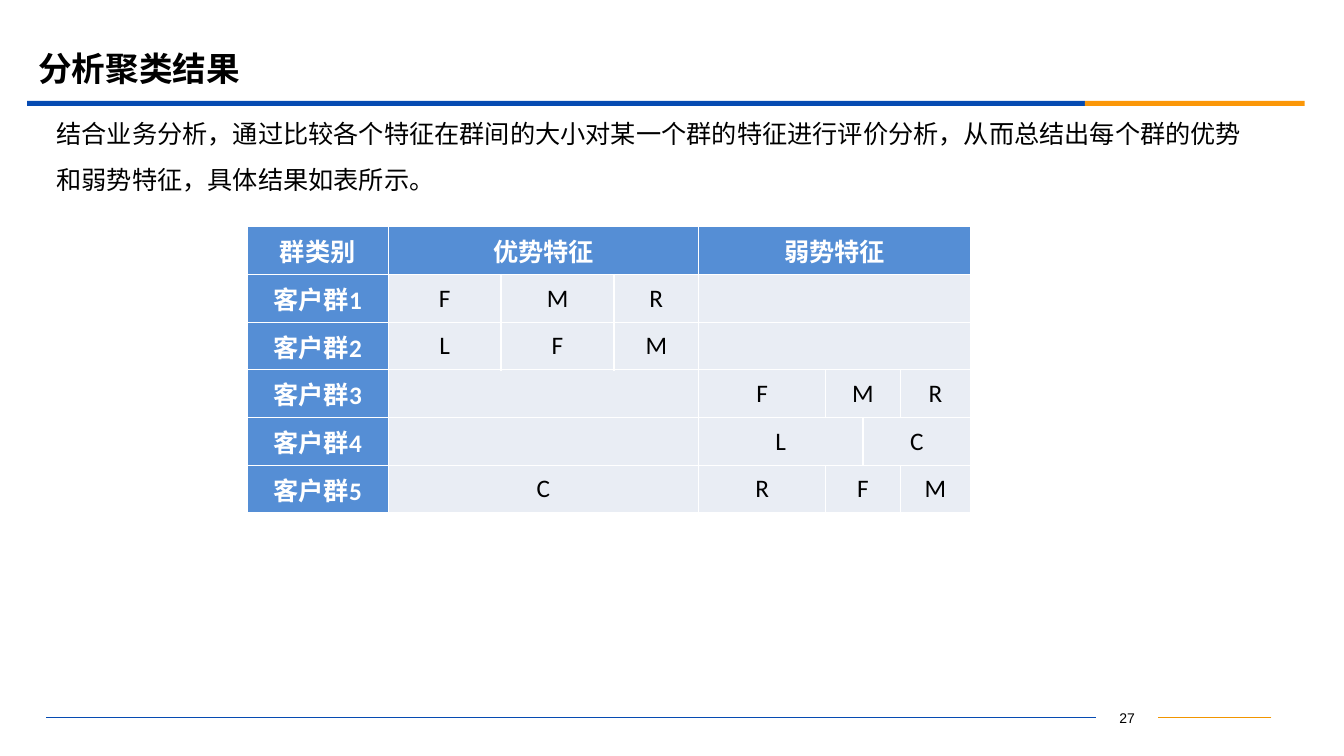
from lxml import etree
from pptx import Presentation
from pptx.dml.color import RGBColor
from pptx.enum import shapes, text
from pptx.oxml.ns import qn
from pptx.util import Inches, Pt

COLORS = {"blue": "064BB2", "orange": "FB9708", "amber": "F19500", "head": "558ED5",
          "cell": "E9EDF4", "white": "FFFFFF", "black": "000000"}
CJK = "Noto Sans CJK SC"


def color(name):
    return RGBColor.from_string(COLORS[name])


def style(paragraph, size, latin, tone="black", bold=False, align=text.PP_ALIGN.LEFT):
    paragraph.alignment = align
    font = paragraph.font
    font.size, font.name, font.bold = Pt(size), latin, bold
    font.color.rgb = color(tone)
    east_asian = etree.SubElement(paragraph._p.pPr.find(qn("a:defRPr")), qn("a:ea"))
    east_asian.set("typeface", CJK)


deck = Presentation()
deck.slide_width, deck.slide_height = Inches(13.33), Inches(7.5)
slide = deck.slides.add_slide(deck.slide_layouts[1])
title, summary = slide.placeholders

# Title and summary
for holder, content, box, size, bold in (
    (title, "分析聚类结果", (0.28, 0.39, 12, 0.58), 24, True),
    (summary, "结合业务分析，通过比较各个特征在群间的大小对某一个群的特征进行评价分析，"
     "从而总结出每个群的优势和弱势特征，具体结果如表所示。", (0.46, 1.24, 12.15, 0.47), 18, False),
):
    holder.left, holder.top, holder.width, holder.height = map(Inches, box)
    frame = holder.text_frame
    frame.text = content
    frame.word_wrap = True
    frame.auto_size = text.MSO_AUTO_SIZE.NONE
    frame.vertical_anchor = text.MSO_ANCHOR.MIDDLE
    style(frame.paragraphs[0], size, CJK, bold=bold)

# Summary without bullet
summary_line = summary.text_frame.paragraphs[0]
summary_line.line_spacing = 1.5
summary_props = summary_line._p.pPr
summary_props.set("marL", "0")
summary_props.set("indent", "0")
summary_props.find(qn("a:defRPr")).addprevious(etree.Element(qn("a:buNone")))

# Two-colour rule under the title
for left, width, tone in ((0.27, 10.49, "blue"), (10.76, 2.18, "orange")):
    bar = slide.shapes.add_shape(shapes.MSO_SHAPE.RECTANGLE, Inches(left), Inches(1),
                                 Inches(width), Inches(0.05))
    bar.shadow.inherit = False
    bar.fill.solid()
    bar.fill.fore_color.rgb = color(tone)
    bar.line.fill.background()

# Cluster table: each entry is (text, columns spanned)
column_widths = (1.4, 1.12, 1.12, 0.84, 1.26, 0.37, 0.37, 0.7)
clusters = (
    (("群类别", 1), ("优势特征", 3), ("弱势特征", 4)),
    (("客户群1", 1), ("F", 1), ("M", 1), ("R", 1), ("", 4)),
    (("客户群2", 1), ("L", 1), ("F", 1), ("M", 1), ("", 4)),
    (("客户群3", 1), ("", 3), ("F", 1), ("M", 2), ("R", 1)),
    (("客户群4", 1), ("", 3), ("L", 2), ("C", 2)),
    (("客户群5", 1), ("C", 3), ("R", 1), ("F", 2), ("M", 1)),
)
table = slide.shapes.add_table(len(clusters), len(column_widths), Inches(2.45), Inches(2.25),
                               Inches(sum(column_widths)), Inches(2.84)).table
for column, width in zip(table.columns, column_widths):
    column.width = Inches(width)

for row, entries in enumerate(clusters):
    start = 0
    for content, span in entries:
        is_head = row == 0 or start == 0
        for col in range(start, start + span):
            cell = table.cell(row, col)
            cell.margin_left = cell.margin_right = Inches(0.05)
            cell.margin_top = cell.margin_bottom = 0
            cell.vertical_anchor = text.MSO_ANCHOR.MIDDLE
            cell_props = cell._tc.get_or_add_tcPr()
            for side in ("lnL", "lnR", "lnT", "lnB"):
                border = etree.SubElement(cell_props, qn(f"a:{side}"), w=str(Pt(1)))
                fill = etree.SubElement(border, qn("a:solidFill"))
                etree.SubElement(fill, qn("a:srgbClr"), val=COLORS["white"])
            cell.fill.solid()
            cell.fill.fore_color.rgb = color("head" if is_head else "cell")
        cell = table.cell(row, start)
        if span > 1:
            cell.merge(table.cell(row, start + span - 1))
        cell.text = content
        style(cell.text_frame.paragraphs[0], 18, "Calibri", "white" if is_head else "black",
              is_head, text.PP_ALIGN.CENTER)
        start += span

# Page number between the footer lines
page_number = slide.shapes.add_textbox(Inches(10.87), Inches(6.99), Inches(0.62), Inches(0.25))
page_number.text_frame.word_wrap = True
page_number.text_frame.text = "27"
style(page_number.text_frame.paragraphs[0], 10, "Arial", align=text.PP_ALIGN.CENTER)

for outer_end, site, tone in ((0.46, 1, "blue"), (12.61, 3, "amber")):
    footer_line = slide.shapes.add_connector(shapes.MSO_CONNECTOR.STRAIGHT, Inches(outer_end),
                                             Inches(7.115), Inches(11), Inches(7.115))
    footer_line.end_connect(page_number, site)
    footer_line.line.color.rgb = color(tone)
    footer_line.line.width = Pt(0.75)
    etree.SubElement(footer_line._element.spPr, qn("a:effectLst"))

deck.save("out.pptx")
